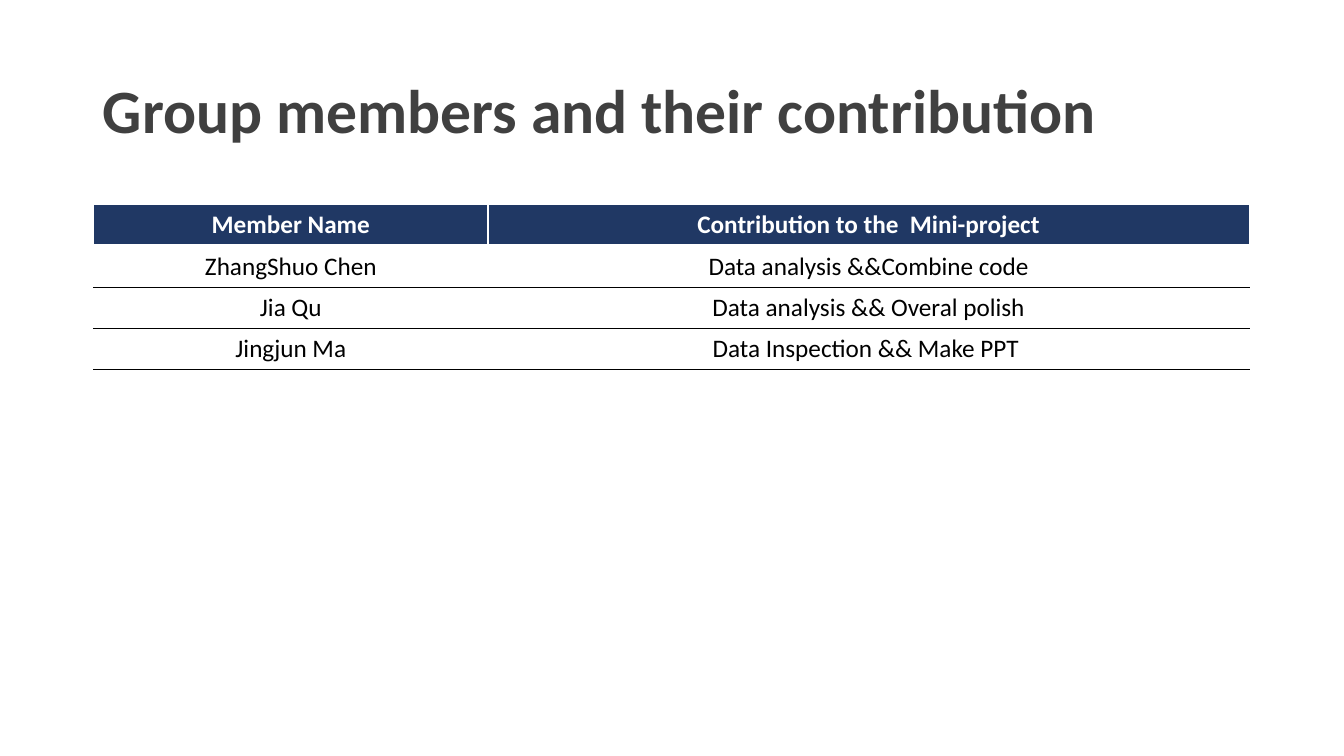
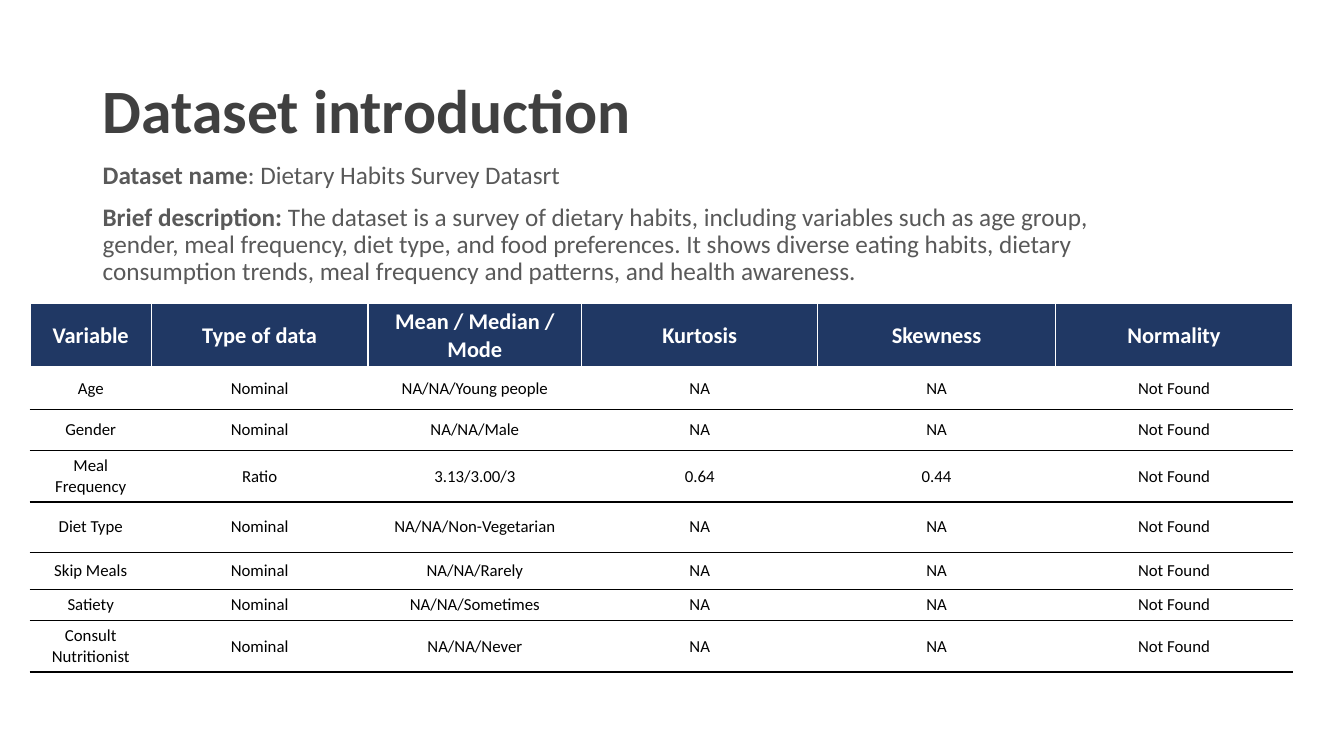
from dataclasses import dataclass

from lxml.etree import SubElement
from pptx import Presentation
from pptx.dml.color import RGBColor
from pptx.enum.text import MSO_ANCHOR, MSO_AUTO_SIZE, PP_ALIGN
from pptx.oxml.ns import qn
from pptx.util import Inches, Pt


@dataclass(frozen=True)
class Theme:
    """Colours, font and type sizes shared by the slides."""
    font: str = "Calibri"
    title: str = "404040"
    body: str = "595959"
    header: str = "203864"
    ink: str = "000000"
    paper: str = "FFFFFF"
    title_size: int = 44
    text_size: int = 18
    header_size: int = 16
    small_size: int = 12
    line_spacing: float = 0.9
    paragraph_gap: int = 10


def add_text(paragraph, text, *, size, color, font, bold=False):
    run = paragraph.add_run()
    run.text = text
    run.font.size = Pt(size)
    run.font.name = font
    run.font.bold = bold
    run.font.color.rgb = RGBColor.from_string(color)


def add_border(cell, side, color, width=1):
    line = SubElement(cell._tc.get_or_add_tcPr(), qn(f"a:{side}"), w=str(Pt(width)))
    SubElement(SubElement(line, qn("a:solidFill")), qn("a:srgbClr"), val=color)


class Deck:
    def __init__(self, theme):
        self.theme = theme
        self.presentation = Presentation()
        self.presentation.slide_width = Inches(13.33)
        self.presentation.slide_height = Inches(7.5)
        self.slide = None

    def start_slide(self, heading):
        theme = self.theme
        self.slide = self.presentation.slides.add_slide(
            self.presentation.slide_layouts.get_by_name("Title Only"))
        title = self.slide.shapes.title
        title.left, title.top = Inches(0.92), Inches(0.4)
        title.width, title.height = Inches(11.5), Inches(1.45)
        frame = title.text_frame
        frame.auto_size = MSO_AUTO_SIZE.NONE
        frame.vertical_anchor = MSO_ANCHOR.MIDDLE
        paragraph = frame.paragraphs[0]
        paragraph.alignment = PP_ALIGN.LEFT
        paragraph.line_spacing = theme.line_spacing
        add_text(paragraph, heading, size=theme.title_size, color=theme.title,
                 font=theme.font, bold=True)

    def add_labelled_text(self, left, top, width, height, entries):
        """Write one paragraph per entry: a bold label, then its text."""
        theme = self.theme
        frame = self.slide.shapes.add_textbox(
            Inches(left), Inches(top), Inches(width), Inches(height)).text_frame
        frame.word_wrap = True
        for index, (label, text) in enumerate(entries):
            paragraph = frame.add_paragraph() if index else frame.paragraphs[0]
            paragraph.line_spacing = theme.line_spacing
            paragraph.space_before = Pt(theme.paragraph_gap)
            for part, bold in ((label, True), (text, False)):
                add_text(paragraph, part, size=theme.text_size, color=theme.body,
                         font=theme.font, bold=bold)

    def add_table(self, left, top, widths, heights, rows, header_size, body_size):
        table = self.slide.shapes.add_table(
            len(rows), len(widths), Inches(left), Inches(top),
            Inches(sum(widths)), Inches(sum(heights))).table
        table.horz_banding = False
        for column, width in zip(table.columns, widths):
            column.width = Inches(width)
        for row, height in zip(table.rows, heights):
            row.height = Inches(height)
        for row_index, values in enumerate(rows):
            size = body_size if row_index else header_size
            for column_index, value in enumerate(values):
                self.fill_cell(table.cell(row_index, column_index), value, row_index, size)

    def fill_cell(self, cell, value, row_index, size):
        theme = self.theme
        is_header = row_index == 0
        # Rules: white around the header, black below each body row
        add_border(cell, "lnL", theme.paper)
        add_border(cell, "lnR", theme.paper)
        add_border(cell, "lnT", theme.ink if row_index > 1 else theme.paper)
        if is_header:
            add_border(cell, "lnB", theme.paper, 3)
        else:
            add_border(cell, "lnB", theme.ink)
        cell.fill.solid()
        cell.fill.fore_color.rgb = RGBColor.from_string(
            theme.header if is_header else theme.paper)
        cell.vertical_anchor = MSO_ANCHOR.MIDDLE
        paragraph = cell.text_frame.paragraphs[0]
        paragraph.alignment = PP_ALIGN.CENTER
        add_text(paragraph, value, size=size, font=theme.font, bold=is_header,
                 color=theme.paper if is_header else theme.ink)


def add_members_slide(deck):
    members = [
        ("Member Name", "Contribution to the  Mini-project"),
        ("ZhangShuo Chen", "Data analysis &&Combine code"),
        ("Jia Qu", "Data analysis && Overal polish"),
        ("Jingjun Ma", "Data Inspection && Make PPT "),
    ]
    deck.start_slide("Group members and their contribution")
    deck.add_table(0.93, 2.03, [3.91, 7.55], [0.41] * len(members), members,
                   deck.theme.text_size, deck.theme.text_size)


def add_dataset_slide(deck):
    # Variable, type, averages, kurtosis and skewness
    variables = [
        ("Age", "Nominal", "NA/NA/Young people", "NA", "NA"),
        ("Gender", "Nominal", "NA/NA/Male", "NA", "NA"),
        ("Meal Frequency", "Ratio", "3.13/3.00/3", "0.64", "0.44"),
        ("Diet Type", "Nominal", "NA/NA/Non-Vegetarian", "NA", "NA"),
        ("Skip Meals", "Nominal", "NA/NA/Rarely", "NA", "NA"),
        ("Satiety", "Nominal", "NA/NA/Sometimes", "NA", "NA"),
        ("Consult Nutritionist", "Nominal", "NA/NA/Never", "NA", "NA"),
    ]
    headings = ("Variable", "Type of data", "Mean / Median / Mode",
                "Kurtosis", "Skewness", "Normality")
    rows = [headings] + [variable + ("Not Found",) for variable in variables]
    deck.start_slide("Dataset introduction")
    deck.add_table(0.3, 3.01, [1.2, 2.15, 2.12, 2.34, 2.36, 2.35],
                   [0.63, 0.41, 0.41, 0.5, 0.5, 0.37, 0.31, 0.5], rows,
                   deck.theme.header_size, deck.theme.small_size)
    deck.add_labelled_text(0.92, 1.57, 10.53, 1.54, [
        ("Dataset name", ": Dietary Habits Survey Datasrt"),
        ("Brief description: ",
         "The dataset is a survey of dietary habits, including variables such as "
         "age group, gender, meal frequency, diet type, and food preferences. It "
         "shows diverse eating habits, dietary consumption trends, meal frequency "
         "and patterns, and health awareness."),
    ])


def main():
    deck = Deck(Theme())
    add_members_slide(deck)
    add_dataset_slide(deck)
    deck.presentation.save("out.pptx")


if __name__ == "__main__":
    main()
